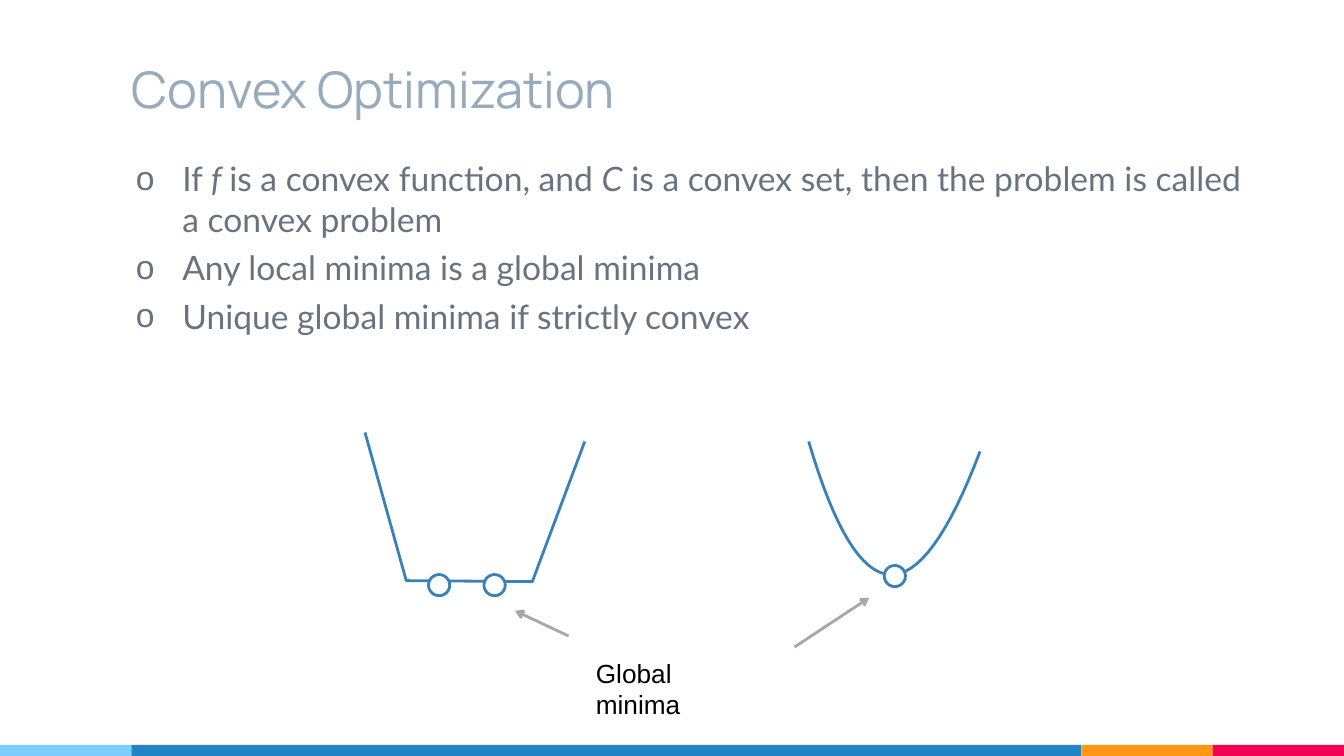
from dataclasses import dataclass

from lxml import etree
from pptx import Presentation
from pptx.dml.color import RGBColor
from pptx.enum.shapes import MSO_CONNECTOR, MSO_SHAPE
from pptx.enum.text import MSO_ANCHOR, MSO_AUTO_SIZE
from pptx.oxml.ns import qn
from pptx.util import Inches, Pt

RECTANGLE, OVAL = MSO_SHAPE.RECTANGLE, MSO_SHAPE.OVAL
STRAIGHT = MSO_CONNECTOR.STRAIGHT
TOP, BOTTOM = MSO_ANCHOR.TOP, MSO_ANCHOR.BOTTOM
FIT_SHAPE = MSO_AUTO_SIZE.SHAPE_TO_FIT_TEXT

WIDTH, HEIGHT = Inches(13.33), Inches(7.5)
WHITE, BLACK = "FFFFFF", "000000"
TITLE_GREY, BODY_GREY, ARROW_GREY = "97ABBC", "677480", "A7A7A7"
CURVE_BLUE = "3A81BA"
LINE_WIDTH = Pt(2)
CURVE_STEPS = 32

Point = tuple[float, float]  # percent of slide width, percent of slide height


@dataclass
class Area:
    """A rectangle in percent of the slide's width and height."""
    left: float
    top: float
    width: float
    height: float

    def emu(self) -> tuple[int, int, int, int]:
        return (*place((self.left, self.top)), *place((self.width, self.height)))


@dataclass
class Span:
    text: str
    italic: bool = False


@dataclass
class Style:
    font: str
    size: float
    color: str


@dataclass
class Arrow:
    start: Point
    end: Point


FOOTER_EDGES = [0, 9.77, 80.45, 90.23, 100]
FOOTER_COLORS = ["7ECEFD", "2185C5", "FF9715", "F20253"]
FOOTER_TOP = 98.53

TITLE_AREA = Area(9.08, 0.4, 84.4, 16.67)
BODY_AREA = Area(9.08, 19.6, 84.4, 35.07)
LABEL_AREA = Area(43.81, 86.27, 13.5, 5.6)

BULLETS = [
    [Span("If "), Span("f ", True), Span("is a convex function, and "), Span("C", True),
     Span(" is a convex set, then the problem is called a convex problem")],
    [Span("Any local minima is a global minima")],
    [Span("Unique global minima if strictly convex")],
]

FLAT_BOWL = [(27.16, 57.2), (30.23, 76.8), (39.61, 76.93), (43.51, 58.4)]
ROUND_BOWL_CONTROLS = [(72.92, 59.73), (68.19, 81.87), (63.99, 81.47), (60.17, 58.4)]
MINIMA = [Area(left, top, 1.58, 2.8)
          for left, top in [(31.88, 76), (36.01, 76), (65.79, 74.8)]]
ARROWS = [Arrow((59.11, 85.6), (64.67, 79.07)), Arrow((42.31, 84.13), (38.33, 80.8))]


def place(point: Point) -> tuple[int, int]:
    return round(WIDTH * point[0] / 100), round(HEIGHT * point[1] / 100)


def rgb(color: str) -> RGBColor:
    return RGBColor.from_string(color)


def set_line(shape, color: str) -> None:
    shape.line.color.rgb = rgb(color)
    shape.line.width = LINE_WIDTH


def bezier(controls: list[Point]) -> list[Point]:
    """Sample a cubic curve at equal steps."""
    points = []
    for step in range(CURVE_STEPS + 1):
        t = step / CURVE_STEPS
        weights = [(1 - t) ** 3, 3 * t * (1 - t) ** 2, 3 * t * t * (1 - t), t ** 3]
        x, y = (sum(w * c[axis] for w, c in zip(weights, controls)) for axis in (0, 1))
        points.append((x, y))
    return points


def add_filled(page, kind, area: Area, fill: str, line: str | None = None) -> None:
    shape = page.shapes.add_shape(kind, *area.emu())
    shape.shadow.inherit = False
    shape.fill.solid()
    shape.fill.fore_color.rgb = rgb(fill)
    if line:
        set_line(shape, line)
    else:
        shape.line.fill.background()


def add_outline(page, points: list[Point]) -> None:
    start, *rest = [place(point) for point in points]
    builder = page.shapes.build_freeform(*start)
    builder.add_line_segments(rest, close=False)
    shape = builder.convert_to_shape()
    shape.shadow.inherit = False
    shape.fill.background()
    set_line(shape, CURVE_BLUE)


def add_arrow(page, arrow: Arrow) -> None:
    connector = page.shapes.add_connector(STRAIGHT, *place(arrow.start), *place(arrow.end))
    set_line(connector, ARROW_GREY)
    etree.SubElement(connector.line._get_or_add_ln(), qn("a:tailEnd"), type="arrow")
    etree.SubElement(connector._element.spPr, qn("a:effectLst"))


def add_bullet(para) -> None:
    properties = para._p.get_or_add_pPr()
    properties.set("marL", str(Inches(0.5)))
    properties.set("indent", str(Inches(-0.46)))
    color = etree.SubElement(properties, qn("a:buClr"))
    etree.SubElement(color, qn("a:srgbClr"), val=BODY_GREY)
    etree.SubElement(properties, qn("a:buFont"), typeface="Arial")
    etree.SubElement(properties, qn("a:buChar"), char="o")


def add_text(page, area: Area, paragraphs: list[list[Span]], style: Style,
             margins: Point = (0.1, 0.1), anchor=TOP, bullets: bool = False,
             wrap: bool = True):
    frame = page.shapes.add_textbox(*area.emu()).text_frame
    frame.word_wrap = wrap
    frame.vertical_anchor = anchor
    frame.margin_left = frame.margin_right = Inches(margins[0])
    frame.margin_top = frame.margin_bottom = Inches(margins[1])
    for index, spans in enumerate(paragraphs):
        para = frame.add_paragraph() if index else frame.paragraphs[0]
        if bullets:
            add_bullet(para)
        if index:
            para.space_before = Pt(6)
        for span in spans:
            run = para.add_run()
            run.text = span.text
            run.font.name = style.font
            run.font.size = Pt(style.size)
            run.font.italic = span.italic
            run.font.color.rgb = rgb(style.color)
    return frame


def main() -> None:
    deck = Presentation()
    deck.slide_width, deck.slide_height = WIDTH, HEIGHT
    page = deck.slides.add_slide(deck.slide_layouts[6])
    page.background.fill.solid()
    page.background.fill.fore_color.rgb = rgb(WHITE)

    # Footer stripe
    for left, right, color in zip(FOOTER_EDGES, FOOTER_EDGES[1:], FOOTER_COLORS):
        add_filled(page, RECTANGLE,
                   Area(left, FOOTER_TOP, right - left, 100 - FOOTER_TOP), color)

    # Title and bullets
    add_text(page, TITLE_AREA, [[Span("Convex Optimization")]],
             Style("Manrope", 36, TITLE_GREY), anchor=BOTTOM)
    add_text(page, BODY_AREA, BULLETS, Style("Lato", 24, BODY_GREY), bullets=True)

    # Functions and their minima
    add_outline(page, bezier(ROUND_BOWL_CONTROLS))
    add_outline(page, FLAT_BOWL)
    for area in MINIMA:
        add_filled(page, OVAL, area, WHITE, CURVE_BLUE)

    # Label with arrows
    label = add_text(page, LABEL_AREA, [[Span("Global minima")]],
                     Style("Arial", 18.7, BLACK), margins=(0.07, 0.05), wrap=False)
    label.auto_size = FIT_SHAPE
    for arrow in ARROWS:
        add_arrow(page, arrow)

    deck.save("out.pptx")


if __name__ == "__main__":
    main()
